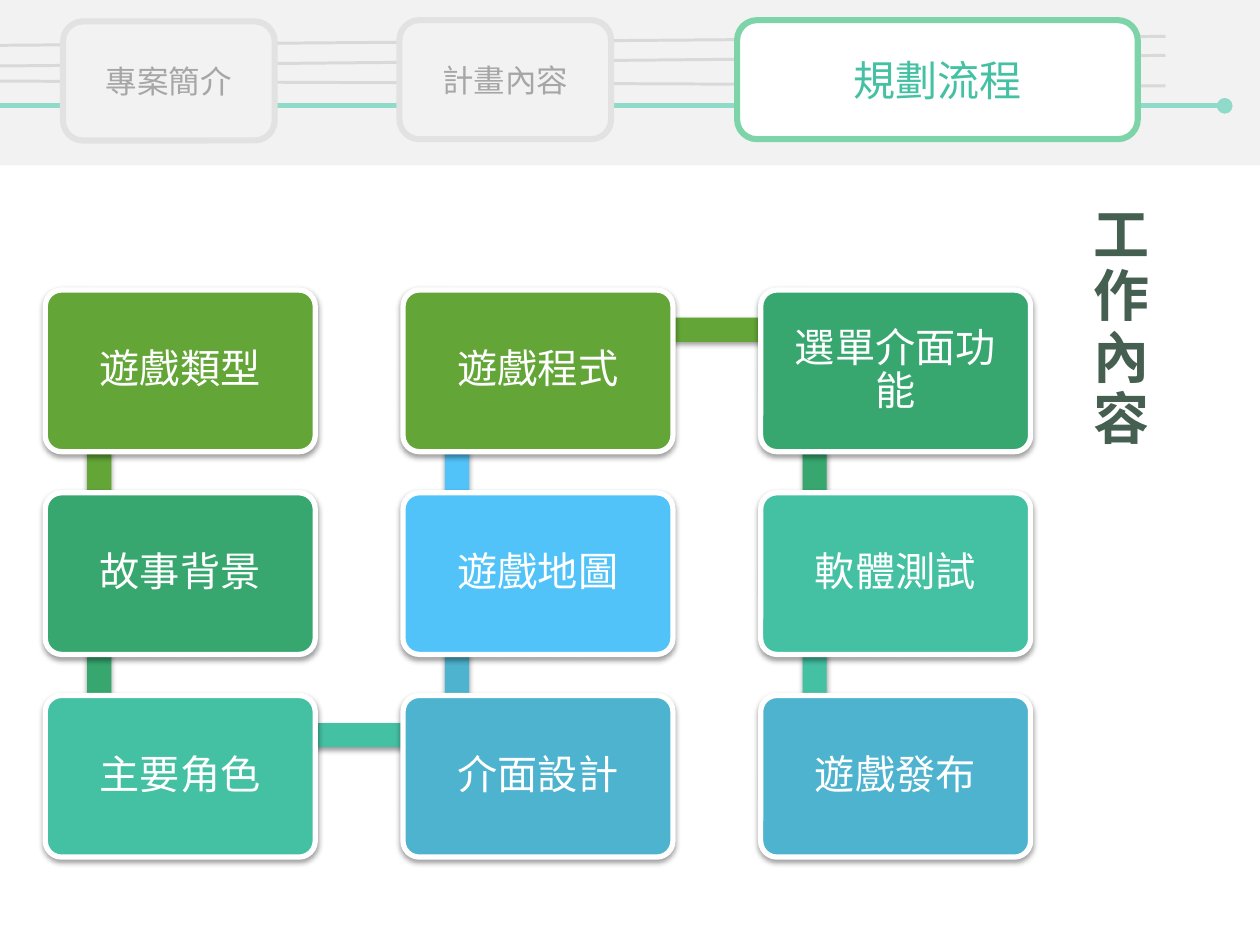
from lxml import etree
from pptx import Presentation
from pptx import util as u
from pptx.dml.color import RGBColor
from pptx.enum import shapes, text
from pptx.oxml.ns import qn

WIDTH, HEIGHT = 10, 7.5
NAV_FONT, BODY_FONT = "Noto Sans CJK JP", "Noto Sans CJK SC"
COLORS = {
    "band": "F2F2F2", "wire": "D9D9D9", "track": "8FDAC8", "white": "FFFFFF",
    "active_edge": "7DD4A9", "idle_edge": "E2E2E2", "idle_text": "A6A6A6",
    "lime": "63A537", "green": "37A76F", "teal": "44C1A3", "blue": "4EB3CF",
    "sky": "51C3F9", "title": "455F51", "shadow": "000000",
}
WIRES = [("wire", 1.7, 0.925, 0.4, 0.335), ("wire", 1.7, 0.925, 0.49, 0.52),
         ("track", 3, 0.972, 0.64, 0.64), ("wire", 1.7, 0.925, 0.275, 0.22)]
TABS = [("規劃流程", 0.585, 0.122, 0.318, 24, "white", "active_edge", "teal"),
        ("專案簡介", 0.05, 0.13, 0.168, 18, "band", "idle_edge", "idle_text"),
        ("計畫內容", 0.317, 0.122, 0.168, 18, "band", "idle_edge", "idle_text")]
STEPS = [("遊戲類型", 0, 0, "lime"), ("故事背景", 0, 1, "green"),
         ("主要角色", 0, 2, "teal"), ("介面設計", 1, 2, "blue"),
         ("遊戲地圖", 1, 1, "sky"), ("遊戲程式", 1, 0, "lime"),
         ("選單介面功能", 2, 0, "green"), ("軟體測試", 2, 1, "teal"),
         ("遊戲發布", 2, 2, "blue")]


def color(name):
    return RGBColor.from_string(COLORS[name])


def add_block(slide, preset, box, fill, edge=None, weight=0):
    block = slide.shapes.add_shape(preset, *map(u.Inches, box))
    block.shadow.inherit = False
    block.fill.solid()
    block.fill.fore_color.rgb = color(fill)
    if edge:
        block.line.color.rgb = color(edge)
        block.line.width = u.Pt(weight)
    else:
        block.line.fill.background()
    return block


def write(block, words, size, font, ink, align=text.PP_ALIGN.CENTER):
    frame = block.text_frame
    frame.word_wrap = True
    frame.vertical_anchor = text.MSO_ANCHOR.MIDDLE
    paragraph = frame.paragraphs[0]
    paragraph.alignment = align
    run = paragraph.add_run()
    run.text = words
    run.font.size = u.Pt(size)
    run.font.name = font
    run.font.color.rgb = color(ink)
    etree.SubElement(run.font._element, qn("a:ea"), typeface=font)
    return paragraph, run


def cast_shadow(block):
    effects = block._element.spPr.find(qn("a:effectLst"))
    shadow = etree.SubElement(effects, qn("a:outerShdw"), blurRad=str(u.Pt(3.1)),
                              dist=str(u.Pt(1.6)), dir="5400000", rotWithShape="0")
    tint = etree.SubElement(shadow, qn("a:srgbClr"), val=COLORS["shadow"])
    etree.SubElement(tint, qn("a:alpha"), val="38000")


def add_navigation(slide, left, top, width, height):
    add_block(slide, shapes.MSO_SHAPE.RECTANGLE, (left, top, width, height), "band")
    for ink, weight, end, start_y, end_y in WIRES:
        wire = slide.shapes.add_connector(
            shapes.MSO_CONNECTOR.STRAIGHT,
            u.Inches(left - 0.012 * width), u.Inches(top + start_y * height),
            u.Inches(left + end * width), u.Inches(top + end_y * height))
        wire.line.color.rgb = color(ink)
        wire.line.width = u.Pt(weight)
        etree.SubElement(wire._element.spPr, qn("a:effectLst"))
        if ink == "track":
            for tip in ("a:headEnd", "a:tailEnd"):
                etree.SubElement(wire.line._get_or_add_ln(), qn(tip), type="oval")
    for words, x, y, share, size, fill, edge, ink in TABS:
        box = (left + x * width, top + y * height, share * width, 0.72 * height)
        tab = add_block(slide, shapes.MSO_SHAPE.ROUNDED_RECTANGLE, box, fill, edge, 3.5)
        write(tab, words, size, NAV_FONT, ink)


def add_workflow(slide, left, top, width, height):
    card_w, card_h = 0.274 * width, 0.285 * height
    pitch_x, pitch_y = (width - card_w) / 2, (height - card_h) / 2
    thickness = 0.15 * card_h

    def corner(column, row):
        return left + column * pitch_x, top + row * pitch_y

    for step, following in zip(STEPS, STEPS[1:] + [None]):
        words, column, row, fill = step
        x, y = corner(column, row)
        if following:
            _, next_column, next_row, _ = following
            if next_column > column:
                link_box = (x + 0.205 * card_w, y + 0.17 * card_h, pitch_x, thickness)
            else:
                link_y = corner(column, min(row, next_row))[1]
                link_box = (x + 0.155 * card_w, link_y + 0.25 * card_h, thickness, pitch_y)
            cast_shadow(add_block(slide, shapes.MSO_SHAPE.RECTANGLE, link_box, fill))
        card = add_block(slide, shapes.MSO_SHAPE.ROUNDED_RECTANGLE,
                         (x, y, card_w, card_h), fill, "white", 3)
        card.adjustments[0] = 0.1
        cast_shadow(card)
        frame = card.text_frame
        frame.margin_left = frame.margin_right = u.Inches(0.1)
        frame.margin_top = frame.margin_bottom = u.Inches(0.1)
        paragraph, _ = write(card, words, 23, BODY_FONT, "white")
        paragraph.line_spacing = 0.9


def add_title(slide, left, top, width, height):
    title = slide.shapes.add_textbox(*map(u.Inches, (left, top, width, height)))
    _, run = write(title, "工作內容", 32, BODY_FONT, "title", text.PP_ALIGN.LEFT)
    run.font.bold = True
    run.font._element.set("spc", "300")
    title.text_frame._txBody.bodyPr.set("vert", "eaVert")


def main():
    deck = Presentation()
    deck.slide_width, deck.slide_height = u.Inches(WIDTH), u.Inches(HEIGHT)
    slide = deck.slides.add_slide(deck.slide_layouts[6])
    add_navigation(slide, 0, 0, WIDTH, 0.175 * HEIGHT)
    add_workflow(slide, 0.036 * WIDTH, 0.307 * HEIGHT, 0.782 * WIDTH, 0.6 * HEIGHT)
    add_title(slide, 0.797 * WIDTH, 0.205 * HEIGHT, 0.183 * WIDTH, 0.727 * HEIGHT)
    deck.save("out.pptx")


if __name__ == "__main__":
    main()
